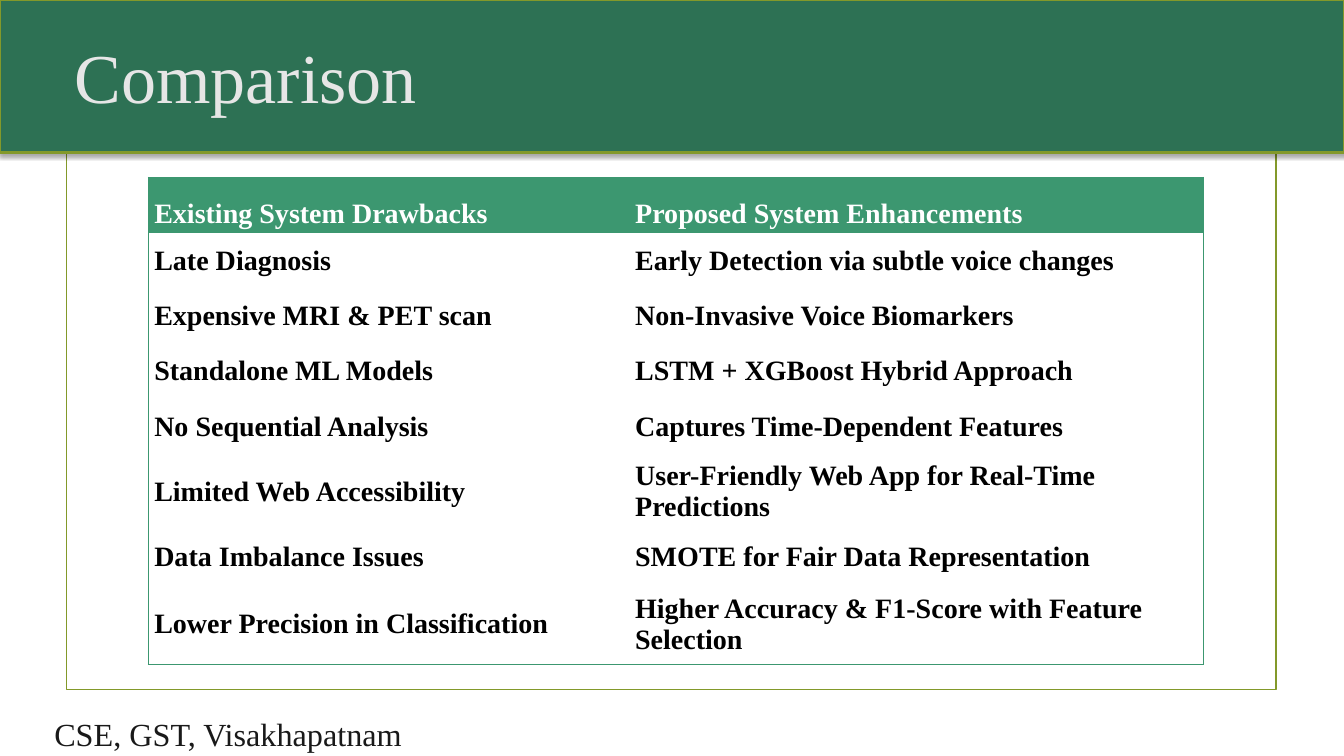
from dataclasses import dataclass

from lxml.etree import SubElement
from pptx import Presentation
from pptx.dml.color import RGBColor as Rgb
from pptx.enum.shapes import MSO_SHAPE as Shape
from pptx.enum.text import MSO_ANCHOR as Anchor, PP_ALIGN as Align
from pptx.oxml.ns import qn
from pptx.util import Inches, Pt

TITLE = "Comparison"
FOOTER = "CSE, GST, Visakhapatnam"
ROWS = [
    ("Existing System Drawbacks", "Proposed System Enhancements"),
    ("Late Diagnosis", "Early Detection via subtle voice changes"),
    ("Expensive MRI & PET scan", "Non-Invasive Voice Biomarkers"),
    ("Standalone ML Models", "LSTM + XGBoost Hybrid Approach"),
    ("No Sequential Analysis", "Captures Time-Dependent Features"),
    ("Limited Web Accessibility", "User-Friendly Web App for Real-Time Predictions"),
    ("Data Imbalance Issues", "SMOTE for Fair Data Representation"),
    ("Lower Precision in Classification", "Higher Accuracy & F1-Score with Feature Selection"),
]
COLUMN_WIDTHS = (4.77, 5.7)
ROW_HEIGHT = 0.55
TALL_ROWS = {5: 0.74, 7: 0.79}
PLAIN_TABLE_STYLE = "{2D5ABB26-0587-4C30-8999-92F81FD0307C}"


@dataclass(frozen=True)
class Theme:
    font: str = "Times New Roman"
    band: str = "2D7154"
    olive: str = "83992A"
    table: str = "3C9770"
    title: str = "E6E6E6"
    footer: str = "191919"
    header_text: str = "FFFFFF"
    body_text: str = "000000"
    shadow: str = "000000"
    title_size: int = 50
    footer_size: int = 23
    table_size: int = 20


THEME = Theme()


def place(shape, left, top, width, height):
    shape.left, shape.top = Inches(left), Inches(top)
    shape.width, shape.height = Inches(width), Inches(height)


def write(frame, text, size, color, bold=False):
    frame.text = text
    para = frame.paragraphs[0]
    para.alignment = Align.LEFT
    font = para.font
    font.name, font.size, font.bold = THEME.font, Pt(size), bold
    font.color.rgb = Rgb.from_string(color)


def add_rectangle(page, bounds, line_width, fill=None):
    box = page.shapes.add_shape(Shape.RECTANGLE, *map(Inches, bounds))
    box.shadow.inherit = False
    if fill:
        box.fill.solid()
        box.fill.fore_color.rgb = Rgb.from_string(fill)
    else:
        box.fill.background()
    box.line.color.rgb = Rgb.from_string(THEME.olive)
    box.line.width = Pt(line_width)
    return box


def add_shadow(box):
    effects = box.element.spPr.find(qn("a:effectLst"))
    shadow = SubElement(effects, qn("a:outerShdw"), blurRad=str(Pt(3)),
                        dist=str(Pt(1.8)), dir="5400000", rotWithShape="0")
    color = SubElement(shadow, qn("a:srgbClr"), val=THEME.shadow)
    SubElement(color, qn("a:alpha"), val="35000")


def add_border(cell, side):
    properties = cell._tc.get_or_add_tcPr()
    line = SubElement(properties, qn(f"a:ln{side}"), w=str(Pt(0.75)))
    fill = SubElement(line, qn("a:solidFill"))
    SubElement(fill, qn("a:srgbClr"), val=THEME.table)


def format_cell(cell, text, row, column):
    header = row == 0
    edges = {"L": column == 0, "R": column == len(COLUMN_WIDTHS) - 1,
             "T": header, "B": row == len(ROWS) - 1}
    for side, outer in edges.items():
        if outer:
            add_border(cell, side)
    if header:
        cell.fill.solid()
        cell.fill.fore_color.rgb = Rgb.from_string(THEME.table)
    else:
        cell.fill.background()
    cell.margin_left = cell.margin_right = Inches(0.06)
    cell.margin_top = cell.margin_bottom = Inches(0.03)
    cell.vertical_anchor = Anchor.BOTTOM if header else Anchor.MIDDLE
    color = THEME.header_text if header else THEME.body_text
    write(cell.text_frame, text, THEME.table_size, color, bold=True)


def add_comparison(page):
    heights = [TALL_ROWS.get(row, ROW_HEIGHT) for row in range(len(ROWS))]
    bounds = (1.47, 1.76, sum(COLUMN_WIDTHS), sum(heights))
    table = page.shapes.add_table(len(ROWS), len(COLUMN_WIDTHS), *map(Inches, bounds)).table
    table._tbl.tblPr.find(qn("a:tableStyleId")).text = PLAIN_TABLE_STYLE
    table.horz_banding = False
    for column, width in zip(table.columns, COLUMN_WIDTHS):
        column.width = Inches(width)
    for row, (texts, height) in enumerate(zip(ROWS, heights)):
        table.rows[row].height = Inches(height)
        for column, text in enumerate(texts):
            format_cell(table.cell(row, column), text, row, column)


def main():
    """Build the comparison slide and save it."""
    deck = Presentation()
    deck.slide_width, deck.slide_height = Inches(13.33), Inches(7.5)
    page = deck.slides.add_slide(deck.slide_layouts[5])

    add_rectangle(page, (0.66, 0.67, 12, 6.17), 1.25)
    add_shadow(add_rectangle(page, (0, 0, 13.33, 1.51), 2, THEME.band))

    title = page.shapes.title
    title.element.getparent().append(title.element)
    place(title, 0.64, 0.28, 6.66, 1.78)
    title.text_frame.vertical_anchor = Anchor.TOP
    title.text_frame.margin_top = Inches(0.05)
    write(title.text_frame, TITLE, THEME.title_size, THEME.title)

    footer = page.shapes.add_textbox(*map(Inches, (0.44, 7.04, 6.73, 0.49)))
    footer.text_frame.word_wrap = True
    write(footer.text_frame, FOOTER, THEME.footer_size, THEME.footer)

    add_comparison(page)
    deck.save("out.pptx")


if __name__ == "__main__":
    main()
